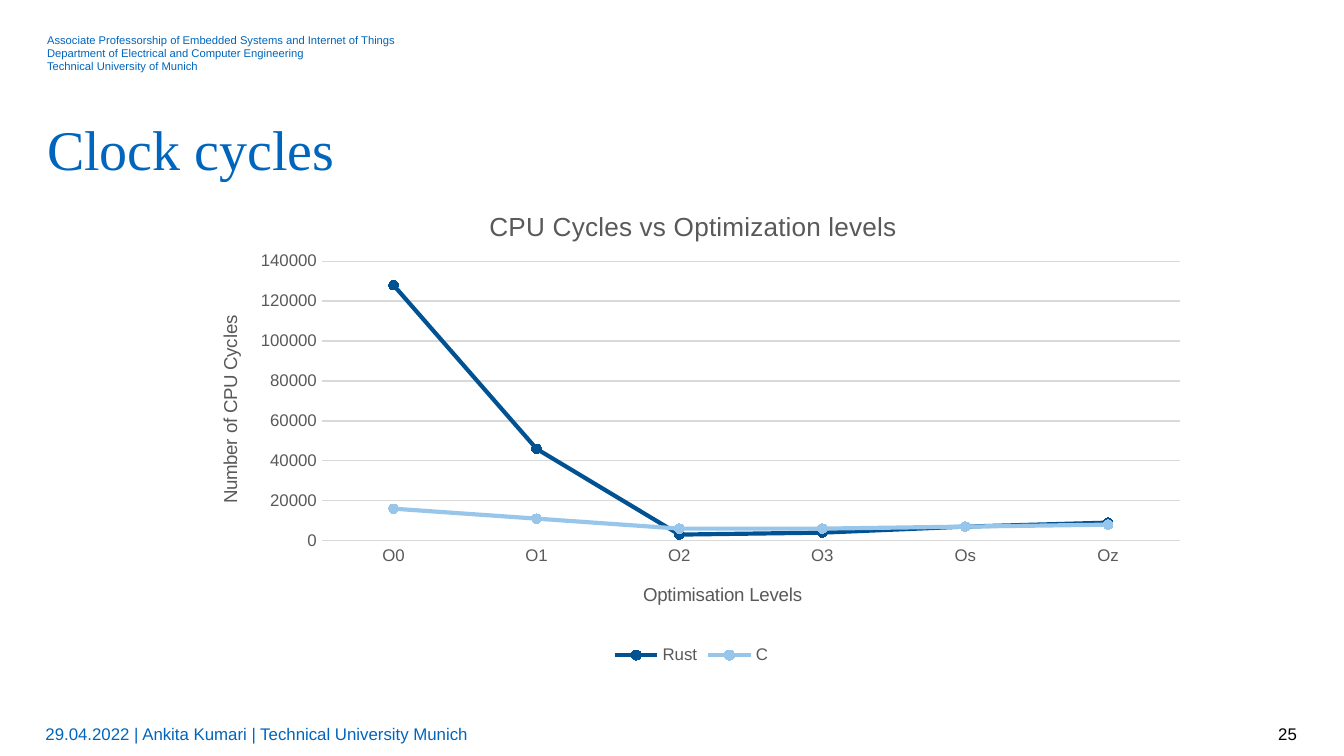
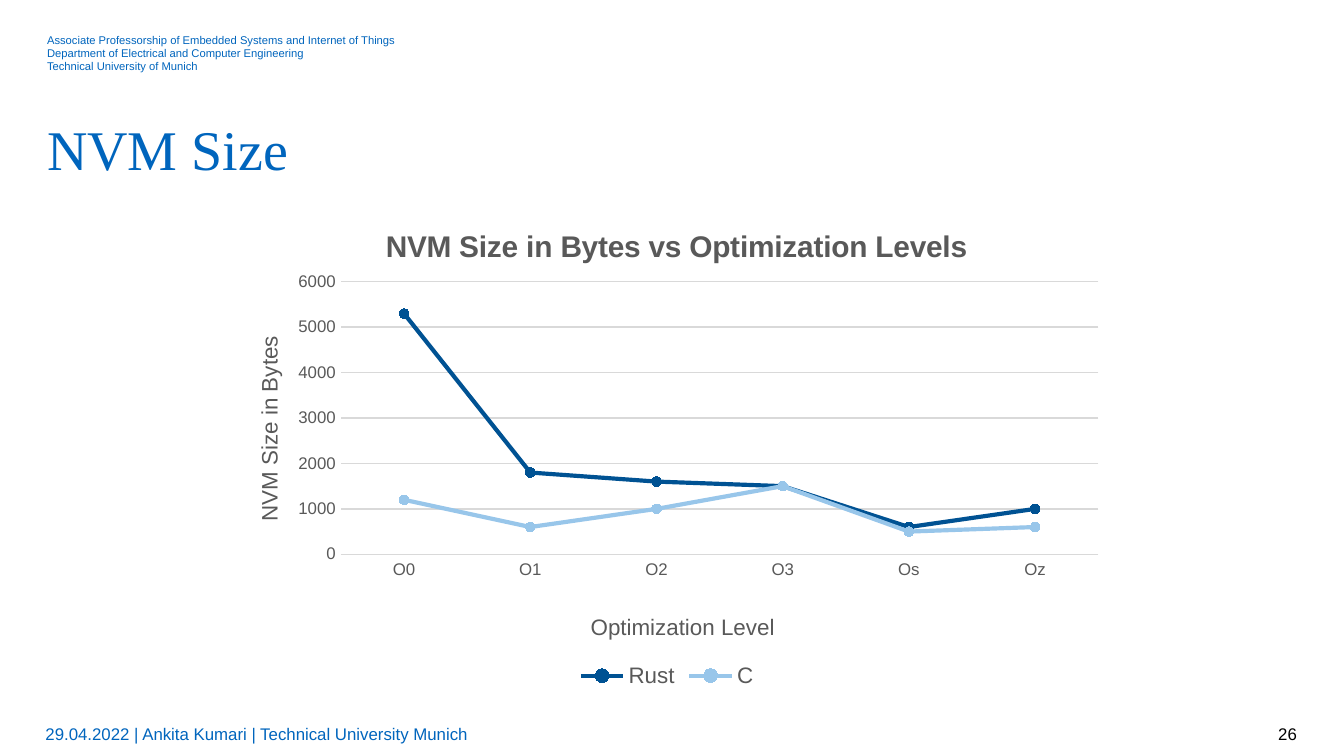
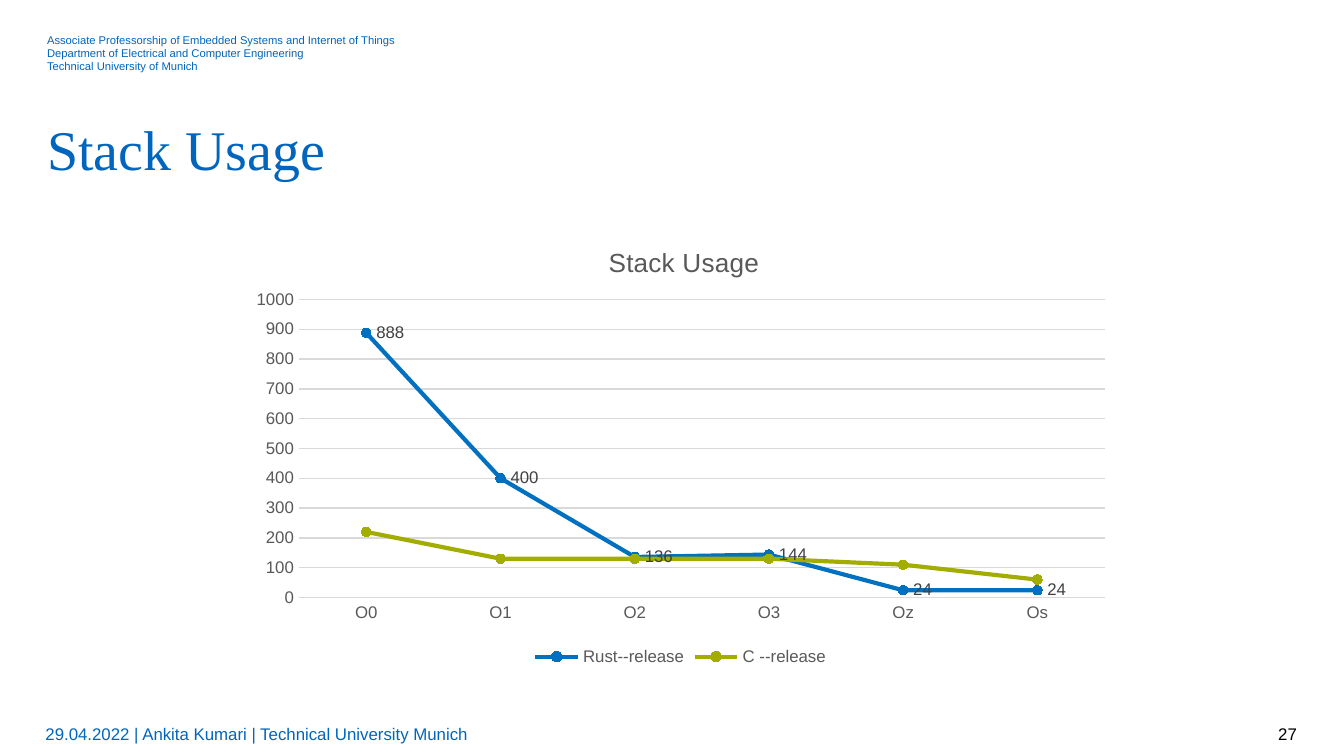
from dataclasses import dataclass
from typing import Optional

from lxml.etree import SubElement
from pptx import Presentation
from pptx.chart.data import CategoryChartData
from pptx.dml.color import RGBColor
from pptx.enum.chart import (XL_CHART_TYPE, XL_LABEL_POSITION, XL_LEGEND_POSITION,
                             XL_MARKER_STYLE, XL_TICK_MARK)
from pptx.enum.text import MSO_ANCHOR, PP_ALIGN
from pptx.oxml.ns import qn
from pptx.util import Cm, Pt

# Shared style
COLORS = {
    "brand": "0065BD", "black": "000000", "chart_text": "595959", "label": "404040",
    "grid": "D9D9D9", "navy": "005293", "sky": "98C6EA", "blue": "0070C0",
    "olive": "A2AD00",
}
BODY_FONT, TITLE_FONT = "Arial", "Times New Roman"
HEADER_LINES = [
    "Associate Professorship of Embedded Systems and Internet of Things",
    "Department of Electrical and Computer Engineering",
    "Technical University of Munich",
]
FOOTER = "29.04.2022 | Ankita Kumari | Technical University Munich"
FIRST_PAGE = 25


@dataclass
class Box:
    """Left, top, width and height in centimetres."""
    left: float
    top: float
    width: float
    height: float

    def lengths(self) -> tuple:
        return Cm(self.left), Cm(self.top), Cm(self.width), Cm(self.height)


@dataclass
class TextStyle:
    box: Box
    size: float
    color: str = "brand"
    font: str = BODY_FONT
    spacing: float = 1.0
    inset: float = 0
    anchor: MSO_ANCHOR = MSO_ANCHOR.TOP
    align: PP_ALIGN = PP_ALIGN.LEFT


@dataclass
class Caption:
    """A chart or axis title; x and y are fractions of the chart."""
    text: str
    x: float
    y: float
    size: float = 10
    bold: bool = False


@dataclass
class Line:
    name: str
    color: str
    values: list
    labelled: bool = False


@dataclass
class ChartSlide:
    title: str
    box: Box
    plot: tuple  # x, y, width, height as fractions of the chart
    caption: Caption
    levels: list
    lines: list
    maximum: int
    step: int
    level_caption: Optional[Caption] = None
    value_caption: Optional[Caption] = None
    legend_size: float = 9


HEADER_STYLE = TextStyle(Box(0.89, 0.66, 21.39, 0.74), 6, spacing=0.94)
TITLE_STYLE = TextStyle(Box(0.89, 2.08, 23.65, 1.37), 30, font=TITLE_FONT, spacing=1.07)
FOOTER_STYLE = TextStyle(Box(0.86, 13.49, 17.96, 0.76), 9, inset=0.1,
                         anchor=MSO_ANCHOR.MIDDLE)
NUMBER_STYLE = TextStyle(Box(18.82, 13.49, 5.69, 0.76), 9, "black", inset=0.1,
                         anchor=MSO_ANCHOR.MIDDLE, align=PP_ALIGN.RIGHT)

# Slide contents
LEVELS = ["O0", "O1", "O2", "O3", "Os", "Oz"]
SLIDES = [
    ChartSlide(
        "Clock cycles", Box(3.48, 3.4, 19.18, 9.27), (0.136, 0.166, 0.845, 0.57),
        Caption("CPU Cycles vs Optimization levels", 0.296, 0.05, 14), LEVELS,
        [Line("Rust", "navy", [128000, 46000, 3000, 4000, 7000, 9000]),
         Line("C", "sky", [16000, 11000, 6000, 6000, 7000, 8000])],
        140000, 20000,
        Caption("Optimisation Levels", 0.449, 0.815),
        Caption("Number of CPU Cycles", 0.03, 0.27)),
    ChartSlide(
        "NVM Size", Box(4.14, 3.78, 16.94, 9.32), (0.136, 0.166, 0.845, 0.553),
        Caption("NVM Size in Bytes vs Optimization Levels", 0.18, 0.045, 16, True), LEVELS,
        [Line("Rust", "navy", [5300, 1800, 1600, 1500, 600, 1000]),
         Line("C", "sky", [1200, 600, 1000, 1500, 500, 600])],
        6000, 1000,
        Caption("Optimization Level", 0.41, 0.83, 12),
        Caption("NVM Size in Bytes", 0.036, 0.268, 12), legend_size=12),
    ChartSlide(
        "Stack Usage", Box(4.52, 4.14, 16.69, 8.56), (0.068, 0.178, 0.912, 0.658),
        Caption("Stack Usage", 0.413, 0.049, 14), ["O0", "O1", "O2", "O3", "Oz", "Os"],
        [Line("Rust--release", "blue", [888, 400, 136, 144, 24, 24], True),
         Line("C --release", "olive", [220, 130, 130, 130, 110, 60])],
        1000, 100),
]


def color(name: str) -> RGBColor:
    return RGBColor.from_string(COLORS[name])


def set_font(font, size: float, color_name: str, name: str = BODY_FONT,
             bold: bool = False) -> None:
    font.size, font.name, font.bold = Pt(size), name, bold
    font.color.rgb = color(color_name)


def add_text(slide, lines: list, style: TextStyle) -> None:
    frame = slide.shapes.add_textbox(*style.box.lengths()).text_frame
    frame.word_wrap = True
    frame.vertical_anchor = style.anchor
    frame.margin_left = frame.margin_right = 0
    frame.margin_top = frame.margin_bottom = Cm(style.inset)
    for index, text in enumerate(lines):
        paragraph = frame.add_paragraph() if index else frame.paragraphs[0]
        paragraph.alignment = style.align
        paragraph.line_spacing = style.spacing
        run = paragraph.add_run()
        run.text = text
        set_font(run.font, style.size, style.color, style.font)


def set_layout(parent, inner: bool = False, **fractions: float) -> None:
    """Place a title or the plot area by fractions of the chart."""
    layout = parent.find(qn("c:layout"))
    if layout is None:
        layout = SubElement(parent, qn("c:layout"))
        parent.insert(0, layout)
    manual = SubElement(layout, qn("c:manualLayout"))
    if inner:
        SubElement(manual, qn("c:layoutTarget")).set("val", "inner")
    for key in ("x", "y"):
        SubElement(manual, qn(f"c:{key}Mode")).set("val", "edge")
    for key, value in fractions.items():
        SubElement(manual, qn(f"c:{key}")).set("val", str(value))


def add_caption(title, caption: Caption, upright: bool = False) -> None:
    frame = title.text_frame
    run = frame.paragraphs[0].add_run()
    run.text = caption.text
    set_font(run.font, caption.size, "chart_text", bold=caption.bold)
    if upright:
        frame._txBody.find(qn("a:bodyPr")).set("rot", "-5400000")
    set_layout(title._element, x=caption.x, y=caption.y)


def style_axis(axis, caption: Optional[Caption], upright: bool) -> None:
    axis.major_tick_mark = axis.minor_tick_mark = XL_TICK_MARK.NONE
    set_font(axis.tick_labels.font, 9, "chart_text")
    axis.has_title = caption is not None
    if caption:
        add_caption(axis.axis_title, caption, upright)


def style_line(series, line: Line) -> None:
    series.smooth = False
    series.format.line.color.rgb = color(line.color)
    series.format.line.width = Pt(2.25)
    marker = series.marker
    marker.style, marker.size = XL_MARKER_STYLE.CIRCLE, 5
    marker.format.fill.solid()
    marker.format.fill.fore_color.rgb = color(line.color)
    marker.format.line.color.rgb = color(line.color)
    if line.labelled:
        labels = series.data_labels
        labels.show_value = True
        labels.position = XL_LABEL_POSITION.RIGHT
        set_font(labels.font, 9, "label")


def add_line_chart(slide, content: ChartSlide) -> None:
    data = CategoryChartData()
    data.categories = content.levels
    for line in content.lines:
        data.add_series(line.name, line.values)
    chart = slide.shapes.add_chart(XL_CHART_TYPE.LINE_MARKERS, *content.box.lengths(),
                                   data).chart
    set_font(chart.font, 10, "black")
    chart.has_title = True
    add_caption(chart.chart_title, content.caption)

    # Axes and grid
    style_axis(chart.category_axis, content.level_caption, False)
    style_axis(chart.value_axis, content.value_caption, True)
    values = chart.value_axis
    values.minimum_scale, values.maximum_scale = 0, content.maximum
    values.major_unit = content.step
    values.format.line.fill.background()
    values.has_major_gridlines = True
    for line_format in (chart.category_axis.format.line,
                        values.major_gridlines.format.line):
        line_format.color.rgb = color("grid")
        line_format.width = Pt(0.75)

    # Legend, lines and plot area
    chart.has_legend = True
    chart.legend.position = XL_LEGEND_POSITION.BOTTOM
    chart.legend.include_in_layout = False
    set_font(chart.legend.font, content.legend_size, "chart_text")
    plot = chart.plots[0]
    plot.vary_by_categories = False
    for series, line in zip(plot.series, content.lines):
        style_line(series, line)
    set_layout(chart._chartSpace.chart.plotArea, inner=True,
               **dict(zip("xywh", content.plot)))


def main() -> None:
    presentation = Presentation()
    presentation.slide_width, presentation.slide_height = Cm(25.4), Cm(14.29)
    for page, content in enumerate(SLIDES, FIRST_PAGE):
        slide = presentation.slides.add_slide(presentation.slide_layouts[6])
        add_text(slide, HEADER_LINES, HEADER_STYLE)
        add_text(slide, [content.title], TITLE_STYLE)
        add_text(slide, [FOOTER], FOOTER_STYLE)
        add_line_chart(slide, content)
        add_text(slide, [str(page)], NUMBER_STYLE)
    presentation.save("out.pptx")


if __name__ == "__main__":
    main()
